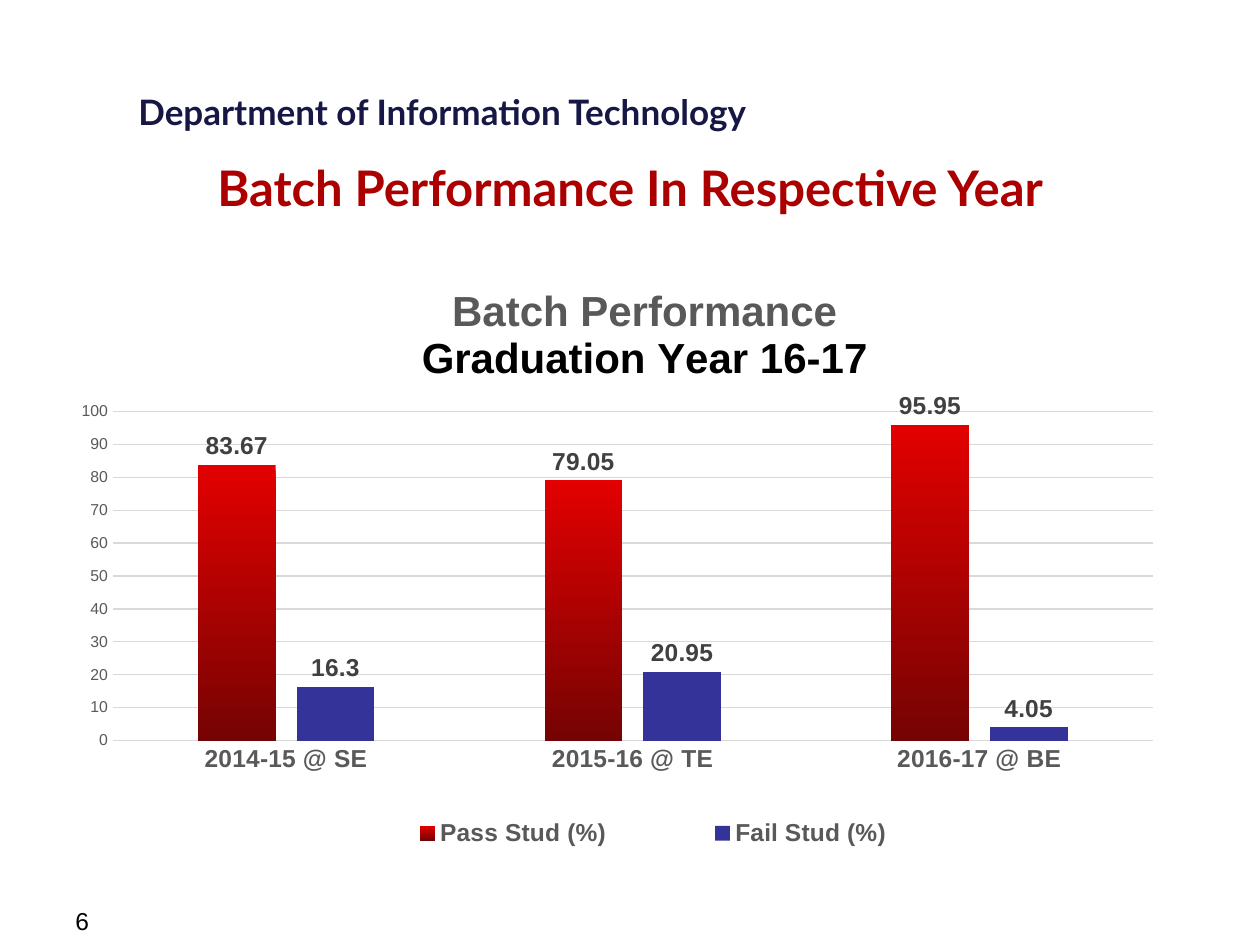
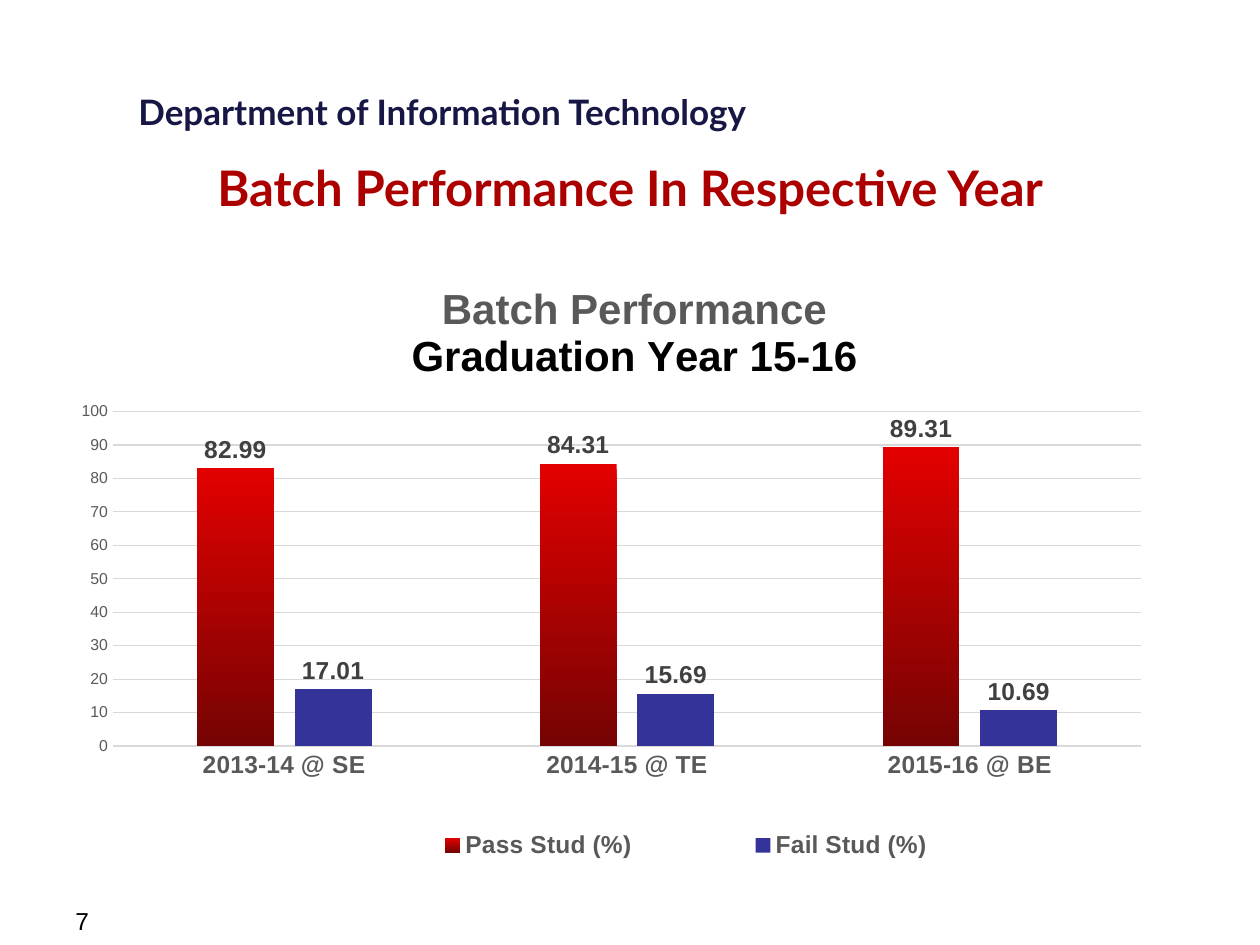
from dataclasses import dataclass

from pptx import Presentation
from pptx.chart.data import CategoryChartData
from pptx.dml.color import RGBColor
from pptx.enum.chart import (XL_CHART_TYPE, XL_LABEL_POSITION,
                             XL_LEGEND_POSITION, XL_TICK_MARK)
from pptx.enum.text import MSO_ANCHOR, MSO_AUTO_SIZE, PP_ALIGN
from pptx.oxml import parse_xml
from pptx.oxml.ns import nsdecls, qn
from pptx.util import Cm, Pt


@dataclass(frozen=True)
class Theme:
    heading_font: str = "Lato"
    body_font: str = "Arial"
    navy: str = "171745"
    crimson: str = "AC0000"
    black: str = "000000"
    grey: str = "595959"
    label_grey: str = "404040"
    grid: str = "D9D9D9"
    pass_top: str = "E30000"
    pass_bottom: str = "760303"
    fail: str = "333399"
    title_size: int = 28
    chart_title_size: int = 24
    department_size: int = 20
    label_size: int = 14
    chart_size: int = 10
    scale_size: int = 9


theme = Theme()


def style(font, name, size, color, bold=False):
    font.name, font.size, font.bold = name, Pt(size), bold
    font.color.rgb = RGBColor.from_string(color)


def place(part, index, x, y, width=None, height=None, inner=False):
    """Position a chart part as fractions of the chart's size."""
    for automatic in part.findall(qn("c:layout")):
        part.remove(automatic)
    settings = [("layoutTarget", "inner")] if inner else []
    settings += [("xMode", "edge"), ("yMode", "edge"), ("x", x), ("y", y)]
    if width:
        settings += [("w", width), ("h", height)]
    tags = "".join(f'<c:{tag} val="{value}"/>' for tag, value in settings)
    part.insert(index, parse_xml(
        f'<c:layout {nsdecls("c")}><c:manualLayout>{tags}</c:manualLayout></c:layout>'))


# Results per graduating batch, with the chart's layout fractions
batches = [
    {"number": 6, "graduation": "16-17",
     "years": ["2014-15 @ SE", "2015-16 @ TE", "2016-17 @ BE"],
     "pass": [83.67, 79.05, 95.95], "fail": [16.3, 20.95, 4.05],
     "title": (0.313, 0.014), "plot": (0.044, 0.227, 0.917, 0.541),
     "legend": (0.226, 0.88, 0.589, 0.08)},
    {"number": 7, "graduation": "15-16",
     "years": ["2013-14 @ SE", "2014-15 @ TE", "2015-16 @ BE"],
     "pass": [82.99, 84.31, 89.31], "fail": [17.01, 15.69, 10.69],
     "title": (0.304, 0.011), "plot": (0.044, 0.227, 0.907, 0.55),
     "legend": (0.235, 0.9, 0.629, 0.08)},
]

deck = Presentation()
deck.slide_width, deck.slide_height = Cm(25.4), Cm(19.05)
layout = deck.slide_layouts[5]
margin, content_width = Cm(1.27), Cm(22.86)

for position, batch in enumerate(batches):
    slide = deck.slides.add_slide(layout)

    # Department line, kept on the shared layout
    if position == 0:
        department = slide.shapes.add_textbox(Cm(2.54), Cm(1.7), Cm(13.59), Cm(1.12))
        department.text_frame.word_wrap = False
        department.text_frame.text = "Department of Information Technology"
        style(department.text_frame.paragraphs[0].font, theme.heading_font,
              theme.department_size, theme.navy, True)
        layout.shapes.element.append(department.element)

    # Title
    heading = slide.shapes.title
    heading.left, heading.top = margin, Cm(3.05)
    heading.width, heading.height = content_width, Cm(1.22)
    heading.text_frame.text = "Batch Performance In Respective Year"
    heading.text_frame.auto_size = MSO_AUTO_SIZE.NONE
    heading.text_frame.vertical_anchor = MSO_ANCHOR.TOP
    heading.text_frame.paragraphs[0].alignment = PP_ALIGN.CENTER
    style(heading.text_frame.paragraphs[0].font, theme.heading_font,
          theme.title_size, theme.crimson, True)

    # Page number
    page = slide.shapes.add_textbox(margin, Cm(18.14), Cm(5.92), Cm(0.69))
    page.text_frame.word_wrap = True
    page.text_frame.text = str(batch["number"])
    style(page.text_frame.paragraphs[0].font, theme.body_font,
          theme.label_size, theme.black)

    # Chart of pass and fail rates
    results = CategoryChartData()
    results.categories = batch["years"]
    results.add_series("Pass Stud (%)", batch["pass"])
    results.add_series("Fail Stud (%)", batch["fail"])
    chart = slide.shapes.add_chart(XL_CHART_TYPE.COLUMN_CLUSTERED, margin, Cm(5.51),
                                   content_width, Cm(12.27), results).chart
    style(chart.font, theme.body_font, theme.chart_size, theme.black)

    # Chart title
    chart.has_title = True
    caption = chart.chart_title.text_frame
    caption.text = f"Batch Performance\nGraduation Year {batch['graduation']}"
    for line, color in zip(caption.paragraphs, (theme.grey, theme.black)):
        line.alignment = PP_ALIGN.CENTER
        style(line.font, theme.body_font, theme.chart_title_size, color, True)
    chart.chart_title.include_in_layout = False

    # Axes
    years, percent = chart.category_axis, chart.value_axis
    for axis in (years, percent):
        axis.major_tick_mark = axis.minor_tick_mark = XL_TICK_MARK.NONE
    style(years.tick_labels.font, theme.body_font, theme.label_size, theme.grey, True)
    style(percent.tick_labels.font, theme.body_font, theme.scale_size, theme.grey)
    percent.minimum_scale, percent.maximum_scale, percent.major_unit = 0, 100, 10
    percent.format.line.fill.background()
    for rule in (years.format.line, percent.major_gridlines.format.line):
        rule.color.rgb = RGBColor.from_string(theme.grid)
        rule.width = Pt(0.75)

    # Columns and their values
    columns = chart.plots[0]
    columns.gap_width, columns.overlap = 219, -27
    columns.vary_by_categories = False
    passed, failed = columns.series
    passed.format.fill.gradient()
    passed.format.fill.gradient_angle = 270
    for stop, color in zip(passed.format.fill.gradient_stops,
                           (theme.pass_top, theme.pass_bottom)):
        stop.color.rgb = RGBColor.from_string(color)
    failed.format.fill.solid()
    failed.format.fill.fore_color.rgb = RGBColor.from_string(theme.fail)
    for series in (passed, failed):
        series.invert_if_negative = False
        series.data_labels.show_value = True
        series.data_labels.position = XL_LABEL_POSITION.OUTSIDE_END
        style(series.data_labels.font, theme.body_font, theme.label_size,
              theme.label_grey, True)

    # Legend
    chart.has_legend = True
    chart.legend.position = XL_LEGEND_POSITION.RIGHT
    chart.legend.include_in_layout = False
    style(chart.legend.font, theme.body_font, theme.label_size, theme.grey, True)

    # Placement inside the chart
    chart_parts = chart.element.find(qn("c:chart"))
    place(chart_parts.find(qn("c:title")), 1, *batch["title"])
    place(chart_parts.find(qn("c:plotArea")), 0, *batch["plot"], inner=True)
    place(chart_parts.find(qn("c:legend")), 1, *batch["legend"])

deck.save("out.pptx")
